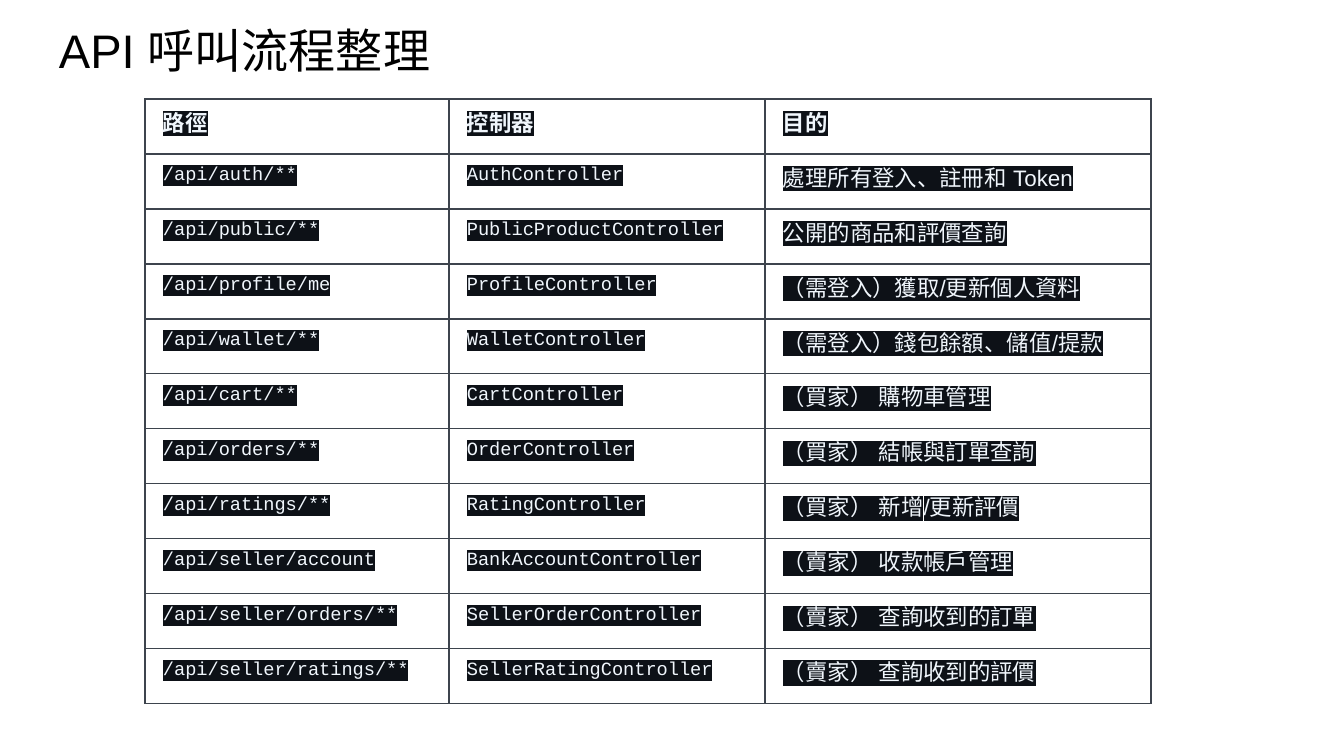
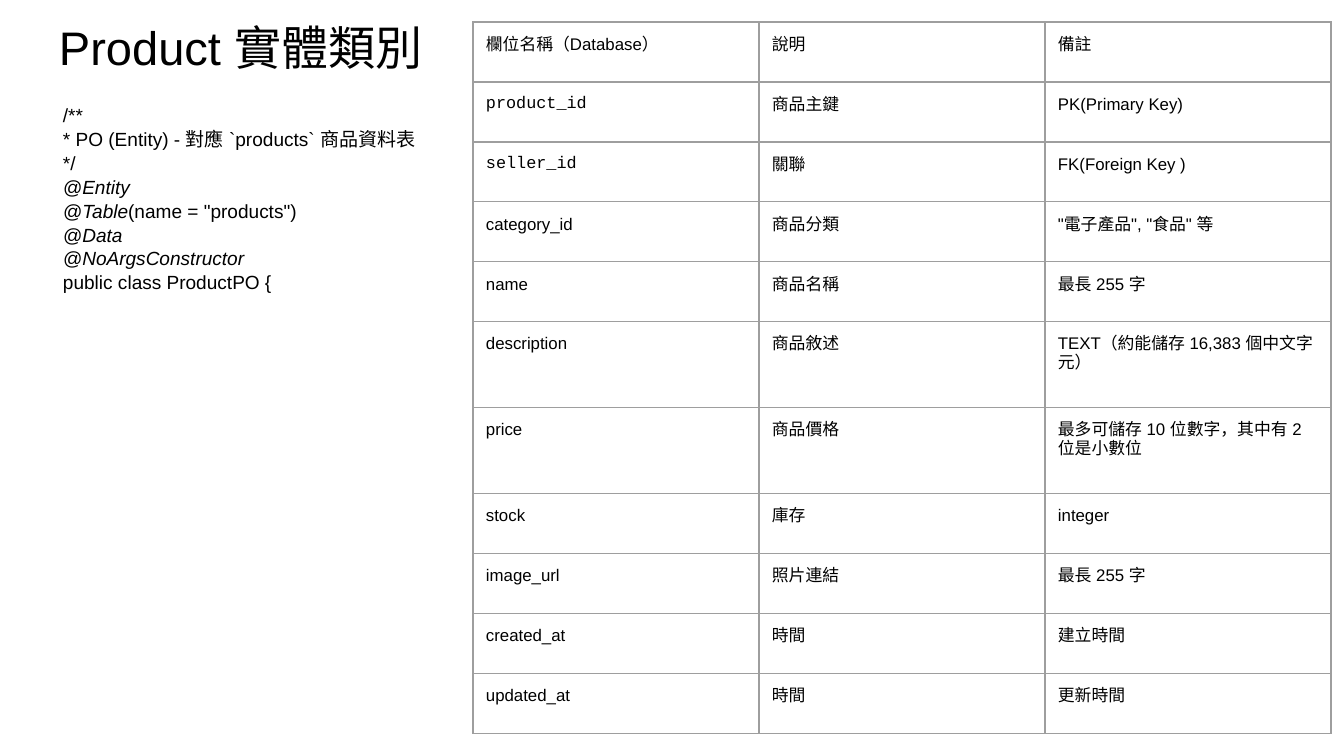
from lxml.etree import SubElement
from pptx import Presentation
from pptx.dml.color import RGBColor
from pptx.enum.text import MSO_ANCHOR
from pptx.oxml.ns import qn
from pptx.util import Emu, Pt

SLIDE_W, SLIDE_H = 1344, 756
INSET = 13
EMU_PER_PX = 914400 / 134.4

BLACK, WHITE, NIGHT, FROST = "000000", "FFFFFF", "0D1117", "F0F6FC"
SLATE, GREY = "3D444D", "9E9E9E"
SANS, MONO = "Arial", "Courier New"

TITLE = {"name": SANS, "size": Pt(25.2)}
CODE = {"name": SANS, "size": Pt(10.2)}
ROUTE_HEAD = {"name": SANS, "size": Pt(12), "bold": True}
ROUTE_CODE = {"name": MONO, "size": Pt(10), "bold": False}
ROUTE_TEXT = {"name": SANS, "size": Pt(12), "bold": False}
FIELD_TEXT = {"name": SANS, "size": Pt(9)}
FIELD_KEY = {"name": MONO, "size": Pt(9)}

ROUTES = [
    ("路徑", "控制器", "目的"),
    ("/api/auth/**", "AuthController", "處理所有登入、註冊和 Token"),
    ("/api/public/**", "PublicProductController", "公開的商品和評價查詢"),
    ("/api/profile/me", "ProfileController", "（需登入）獲取/更新個人資料"),
    ("/api/wallet/**", "WalletController", "（需登入）錢包餘額、儲值/提款"),
    ("/api/cart/**", "CartController", "（買家） 購物車管理"),
    ("/api/orders/**", "OrderController", "（買家） 結帳與訂單查詢"),
    ("/api/ratings/**", "RatingController", "（買家） 新增/更新評價"),
    ("/api/seller/account", "BankAccountController", "（賣家） 收款帳戶管理"),
    ("/api/seller/orders/**", "SellerOrderController", "（賣家） 查詢收到的訂單"),
    ("/api/seller/ratings/**", "SellerRatingController", "（賣家） 查詢收到的評價"),
]
FIELDS = [
    ("欄位名稱（Database）", "說明", "備註"),
    ("product_id", "商品主鍵", "PK(Primary Key)"),
    ("seller_id", "關聯", "FK(Foreign Key )"),
    ("category_id", "商品分類", '"電子產品", "食品" 等'),
    ("name", "商品名稱", "最長 255 字"),
    ("description", "商品敘述", "TEXT（約能儲存 16,383 個中文字元）"),
    ("price", "商品價格", "最多可儲存 10 位數字，其中有 2 位是小數位"),
    ("stock", "庫存", "integer"),
    ("image_url", "照片連結", "最長 255 字"),
    ("created_at", "時間", "建立時間"),
    ("updated_at", "時間", "更新時間"),
]
TWO_LINE_FIELDS = {"description", "price"}
KEY_FIELDS = {"product_id", "seller_id"}
ENTITY_CODE = [
    [("/**", False)],
    [("* PO (Entity) - 對應 `products` 商品資料表", False)],
    [("*/", False)],
    [("@Entity", True)],
    [("@Table", True), ('(name = "products")', False)],
    [("@Data", True)],
    [("@NoArgsConstructor", True)],
    [("public class ProductPO {", False)],
]


def px(length):
    return Emu(round(length * EMU_PER_PX))


def rgb(colour):
    return RGBColor.from_string(colour)


def apply(target, values):
    for key, value in values.items():
        setattr(target, key, value)


def margins(across, down):
    return {"margin_left": px(across), "margin_right": px(across),
            "margin_top": px(down), "margin_bottom": px(down)}


def write(paragraph, text, font, colour=BLACK, highlight=None):
    run = paragraph.add_run()
    run.text = text
    apply(run.font, font)
    run.font.color.rgb = rgb(colour)
    properties = run.font._element
    east_asian = properties.makeelement(qn("a:ea"), {"typeface": font["name"]})
    properties.find(qn("a:latin")).addnext(east_asian)
    if highlight:
        marker = properties.makeelement(qn("a:highlight"), {})
        SubElement(marker, qn("a:srgbClr"), val=highlight)
        properties.find(qn("a:solidFill")).addnext(marker)


def add_frame(slide, box, anchor):
    frame = slide.shapes.add_textbox(*map(px, box)).text_frame
    apply(frame, {"word_wrap": True, "vertical_anchor": anchor, **margins(INSET, INSET)})
    return frame


def add_title(slide, box, text):
    frame = add_frame(slide, box, MSO_ANCHOR.MIDDLE)
    write(frame.paragraphs[0], text, TITLE)


def add_entity_code(slide, box):
    frame = add_frame(slide, box, MSO_ANCHOR.TOP)
    for index, line in enumerate(ENTITY_CODE):
        paragraph = frame.add_paragraph() if index else frame.paragraphs[0]
        paragraph.line_spacing = 1.05
        paragraph._p.get_or_add_pPr().set("marL", str(px(4)))
        for text, italic in line:
            write(paragraph, text, {**CODE, "italic": italic}, highlight=WHITE)


def add_borders(cell, colour):
    properties = cell._tc.get_or_add_tcPr()
    for side in ("lnL", "lnR", "lnT", "lnB"):
        line = SubElement(properties, qn(f"a:{side}"), w=str(Pt(0.75)))
        fill = SubElement(line, qn("a:solidFill"))
        SubElement(fill, qn("a:srgbClr"), val=colour)


def add_grid(slide, origin, widths, heights, rows, border, style_cell):
    box = (*origin, sum(widths), sum(heights))
    table = slide.shapes.add_table(len(rows), len(widths), *map(px, box)).table
    apply(table, {"first_row": False, "horz_banding": False})
    for column, width in zip(table.columns, widths):
        column.width = px(width)
    for row, height in zip(table.rows, heights):
        row.height = px(height)
    for row_index, texts in enumerate(rows):
        for column_index, text in enumerate(texts):
            cell = table.cell(row_index, column_index)
            add_borders(cell, border)
            style_cell(cell, text, row_index, column_index)


def style_route(cell, text, row, column):
    apply(cell, margins(18, 8))
    cell.fill.solid()
    cell.fill.fore_color.rgb = rgb(NIGHT)
    tint = cell._tc.tcPr.find(qn("a:solidFill")).find(qn("a:srgbClr"))
    SubElement(tint, qn("a:alpha"), val="0")
    paragraph = cell.text_frame.paragraphs[0]
    apply(paragraph, {"line_spacing": 1.15, "space_after": Pt(12)})
    body = ROUTE_TEXT if column == 2 else ROUTE_CODE
    write(paragraph, text, body if row else ROUTE_HEAD, FROST, NIGHT)


def style_field(cell, text, row, column):
    apply(cell, margins(INSET, INSET))
    cell.fill.background()
    is_key = text in KEY_FIELDS
    write(cell.text_frame.paragraphs[0], text, FIELD_KEY if is_key else FIELD_TEXT,
          highlight=WHITE if is_key else None)


def build_routes(slide):
    add_title(slide, (46, 7, 1253, 85), "API 呼叫流程整理")
    add_grid(slide, (145, 99), (304, 316, 386), [55] * len(ROUTES), ROUTES,
             SLATE, style_route)


def build_product(slide):
    add_title(slide, (46, 4, 406, 85), "Product 實體類別")
    add_entity_code(slide, (46, 89, 427, 228))
    heights = [86 if field in TWO_LINE_FIELDS else 60 for field, *_ in FIELDS]
    add_grid(slide, (473, 22), [286] * 3, heights, FIELDS, GREY, style_field)


def main():
    deck = Presentation()
    apply(deck, {"slide_width": px(SLIDE_W), "slide_height": px(SLIDE_H)})
    for build in (build_routes, build_product):
        build(deck.slides.add_slide(deck.slide_layouts[6]))
    deck.save("out.pptx")


if __name__ == "__main__":
    main()
